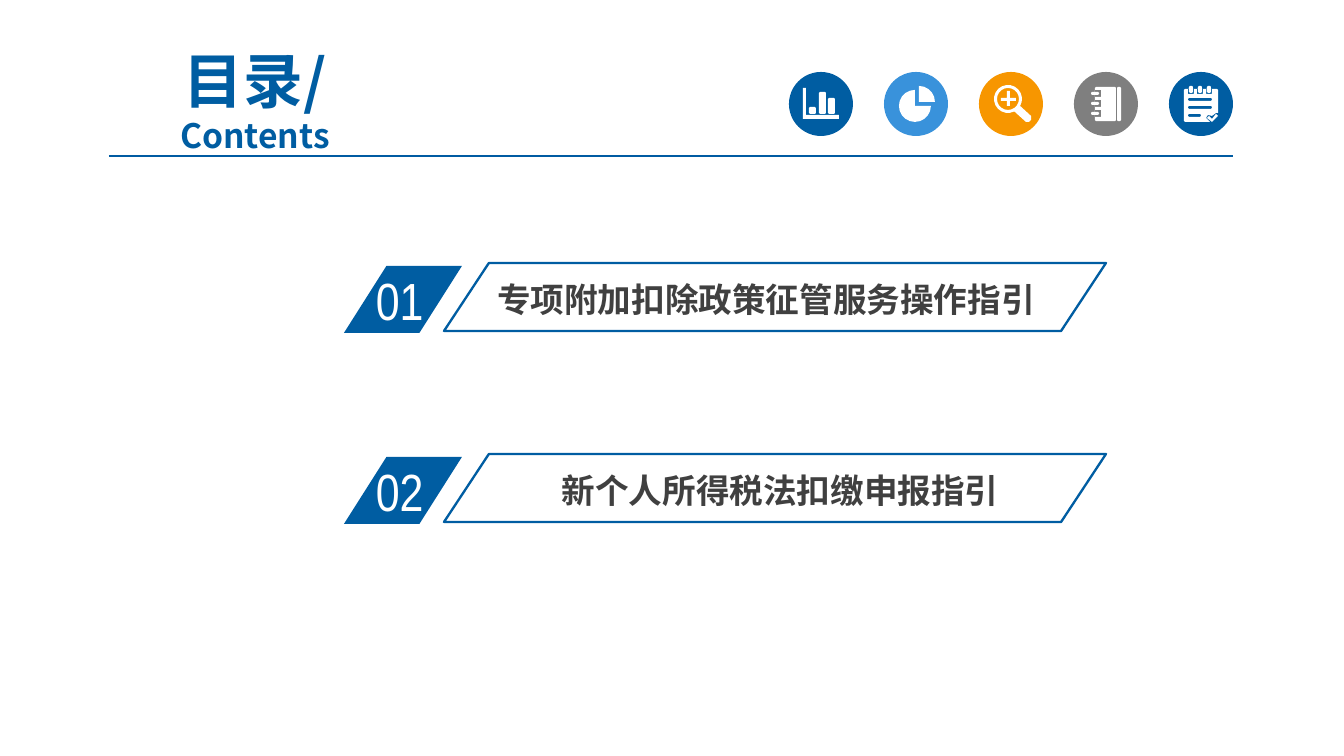
from math import cos, radians, sin

from lxml.etree import SubElement
from pptx import Presentation
from pptx.dml.color import RGBColor
from pptx.enum.shapes import MSO_CONNECTOR, MSO_SHAPE
from pptx.enum.text import MSO_ANCHOR as Anchor, MSO_AUTO_SIZE as Fit, PP_ALIGN as Align
from pptx.oxml.ns import qn
from pptx.util import Emu, Pt

SCALE = 914400 / 134.4
COLORS = {
    "blue": "005DA2", "rule": "005BA2", "sky": "3992DB", "orange": "F79600",
    "gray": "7F7F7F", "ink": "404040", "white": "FFFFFF",
}
CJK = "Noto Sans CJK SC"
NARROW = "Arial Narrow"


def px(length):
    """Turn pixels into EMU."""
    return Emu(round(length * SCALE))


def color(name):
    """Look up a colour by name."""
    return RGBColor.from_string(COLORS[name])


def paint(shape, fill=None, line=None):
    """Give a shape a flat fill, an outline, or neither."""
    shape.shadow.inherit = False
    if fill:
        shape.fill.solid()
        shape.fill.fore_color.rgb = color(fill)
    else:
        shape.fill.background()
    if line:
        shape.line.color.rgb = color(line)
        shape.line.width = Pt(1.25)
    else:
        shape.line.fill.background()


def add_preset(shapes, kind, box, fill=None, line=None):
    """Add a painted preset shape."""
    shape = shapes.add_shape(kind, *map(px, box))
    paint(shape, fill, line)
    return shape


def add_text(shapes, box, spans, font, tint, bold, align=Align.LEFT, inset=(13, 7)):
    """Add a one-paragraph text box with a line for each (text, size) span."""
    frame = shapes.add_textbox(*map(px, box)).text_frame
    frame.word_wrap = True
    frame.margin_left = frame.margin_right = px(inset[0])
    frame.margin_top = frame.margin_bottom = px(inset[1])
    para = frame.paragraphs[0]
    para.alignment = align
    para.font.name, para.font.bold = font, bold
    para.font.color.rgb = color(tint)
    SubElement(para.font._element, qn("a:ea"), typeface=font)
    for index, (text, size) in enumerate(spans):
        if index:
            para.add_line_break()
        span = para.add_run()
        span.text, span.font.size = text, Pt(size)
    return frame


def arc(x, y, radius, start=0, end=360):
    """Return points along an arc, clockwise in degrees."""
    steps = round((end - start) / 18)
    angles = [radians(start + (end - start) * i / steps) for i in range(steps + 1)]
    return [(x + radius * cos(a), y + radius * sin(a)) for a in angles]


def bar(x, y, width, height, cut=1):
    """Return the outline of a rectangle with its corners cut."""
    right, bottom = x + width, y + height
    if not cut:
        return [(x, y), (right, y), (right, bottom), (x, bottom)]
    return [(x + cut, y), (right - cut, y), (right, y + cut), (right, bottom - cut),
            (right - cut, bottom), (x + cut, bottom), (x, bottom - cut), (x, y + cut)]


def chart_outlines():
    """Return a bar chart with an axis."""
    axis = [(14, 16), (17, 16), (17, 43), (50, 43), (50, 47), (14, 47)]
    return [axis, bar(20, 35, 7, 7), bar(30, 20, 7, 22), bar(39, 26, 7, 16)]


def pie_outlines():
    """Return a pie with its upper right quarter pulled out."""
    return [[(35, 30)] + arc(35, 30, 16, -90, 0), [(31, 34)] + arc(31, 34, 16, 0, 270)]


def lens_outlines():
    """Return a magnifier with a plus sign."""
    body = arc(29, 27, 14, 63, 390) + [(52, 44), (52, 48), (50, 50), (47, 50)]
    plus = [(28, 19), (31, 19), (31, 26), (37, 26), (37, 29), (31, 29),
            (31, 34), (28, 34), (28, 29), (22, 29), (22, 26), (28, 26)]
    return [body, arc(29, 27, 11), plus]


def notebook_outlines():
    """Return a ring-bound notebook."""
    outlines = [bar(21, 15, 21, 34), bar(43, 15, 4, 34)]
    for y in range(18, 48, 10):
        outlines += [bar(21, y, 6, 7, 0), bar(17, y + 2, 8, 3)]
    return outlines


def checklist_outlines():
    """Return a ruled pad with rings and a tick."""
    pad = [(15, 18), (16, 17), (48, 17), (49, 18), (49, 41), (47, 41), (43, 44),
           (39, 43), (37, 46), (41, 50), (16, 50), (15, 49)]
    tick = [(47, 42), (49, 44), (43, 50), (38, 46), (40, 44), (43, 47)]
    outlines = [pad, tick, bar(19, 26, 24, 3), bar(19, 34, 24, 3), bar(19, 42, 13, 3)]
    for x in range(19, 46, 9):
        outlines += [bar(x, 17, 6, 5, 0), bar(x + 1, 14, 4, 7)]
    return outlines


def add_icon(page, x, y, size, fill, outlines):
    """Draw a white symbol on a coloured disc."""
    shapes = page.shapes.add_group_shape().shapes
    add_preset(shapes, MSO_SHAPE.OVAL, (x, y, size, size), fill)
    paths = [[(px(x + dx), px(y + dy)) for dx, dy in path] for path in outlines]
    builder = shapes.build_freeform(*paths[0][0], scale=1.0)
    for index, path in enumerate(paths):
        if index:
            builder.move_to(*path[0])
        builder.add_line_segments(path[1:], close=True)
    paint(builder.convert_to_shape(), "white")


def add_header(page, x, y, width):
    """Place the title, the rule and the row of icons."""
    title = add_text(page.shapes, (x - 20, y, 332, 73), [("目录/", 32), ("Contents", 18)],
                     CJK, "blue", True, Align.CENTER)
    title.vertical_anchor = Anchor.MIDDLE
    title.paragraphs[0].space_before = Pt(4.5)
    rule = page.shapes.add_connector(
        MSO_CONNECTOR.STRAIGHT, px(x), px(y + 93), px(x + width), px(y + 93))
    rule.line.color.rgb = color("rule")
    rule.line.width = Pt(0.75)
    SubElement(rule._element.spPr, qn("a:effectLst"))
    icons = [("blue", chart_outlines()), ("sky", pie_outlines()),
             ("orange", lens_outlines()), ("gray", notebook_outlines()),
             ("blue", checklist_outlines())]
    size, gap = 64, 95
    first = x + width - size - gap * (len(icons) - 1)
    for index, (fill, outlines) in enumerate(icons):
        add_icon(page, first + gap * index, y + 9, size, fill, outlines)


def add_entry(page, x, y, number, topic, align):
    """Place one numbered line of the contents."""
    badge = page.shapes.add_group_shape().shapes
    tag = add_preset(badge, MSO_SHAPE.PARALLELOGRAM, (x, y + 3, 118, 67), "blue")
    tag.adjustments[0] = 0.635
    label = add_text(badge, (x + 19, y - 2, 113, 77), [(number, 28)], NARROW, "white", False)
    panel = page.shapes.add_group_shape().shapes
    heading = add_text(panel, (x + 143, y + 11, 586, 51), [(topic, 18)], CJK, "ink", True,
                       align, (10, 5))
    label.auto_size = heading.auto_size = Fit.SHAPE_TO_FIT_TEXT
    frame = add_preset(panel, MSO_SHAPE.PARALLELOGRAM, (x + 100, y, 662, 68), line="blue")
    frame.adjustments[0] = 0.66


def main():
    """Build the contents slide."""
    deck = Presentation()
    deck.slide_width, deck.slide_height = px(1344), px(756)
    page = deck.slides.add_slide(deck.slide_layouts[6])
    add_header(page, 109, 63, 1124)
    entries = [("01", "专项附加扣除政策征管服务操作指引", Align.LEFT),
               ("02", "新个人所得税法扣缴申报指引", Align.CENTER)]
    for index, entry in enumerate(entries):
        add_entry(page, 344, 263 + 191 * index, *entry)
    deck.save("out.pptx")


if __name__ == "__main__":
    main()
